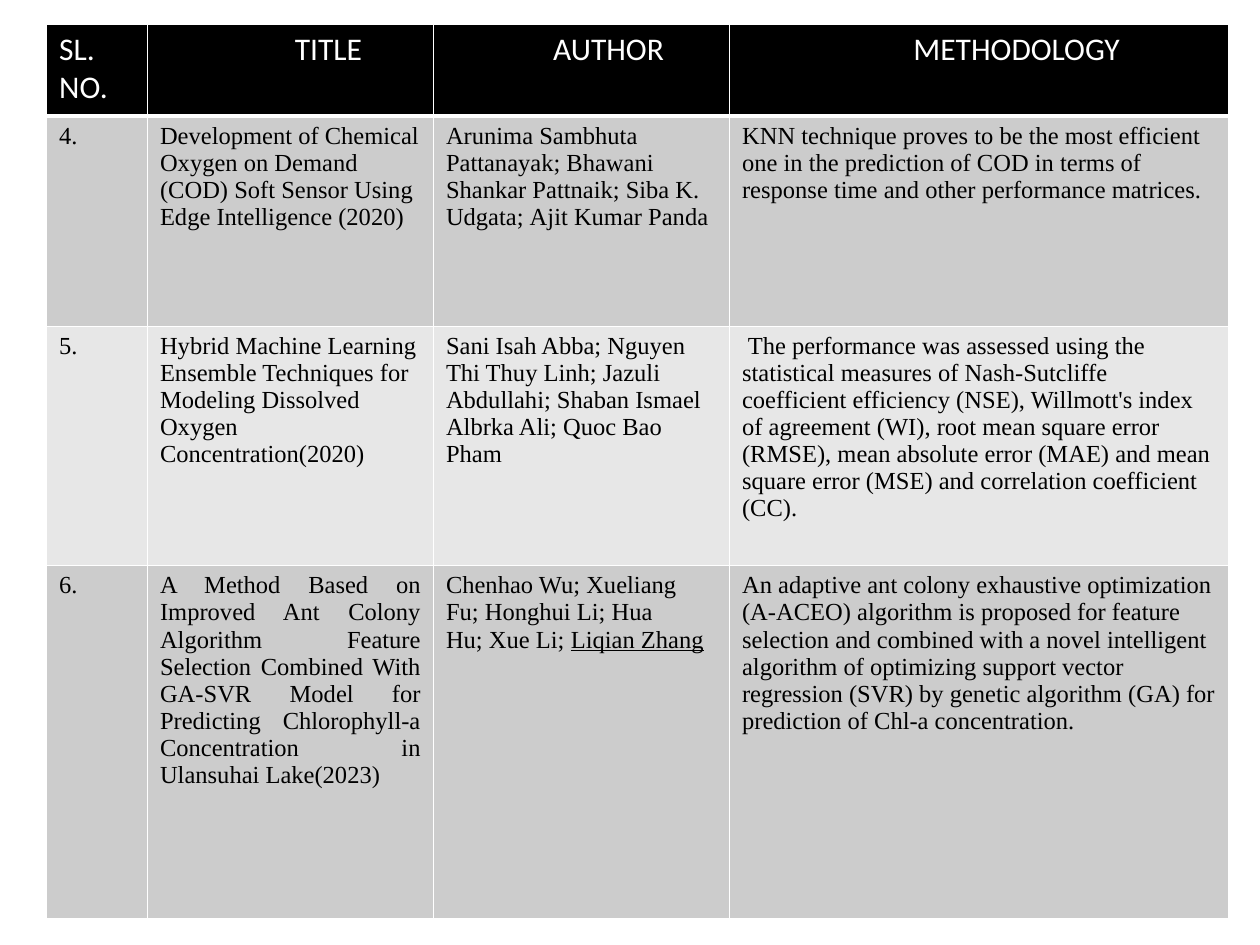
import dataclasses

import pptx
import pptx.dml.color
import pptx.enum.text
import pptx.oxml.ns
import pptx.util
from lxml import etree
from pptx.util import Inches


@dataclasses.dataclass(frozen=True)
class Theme:
    header_fill: str = "000000"
    header_text: str = "FFFFFF"
    body_fills: tuple = ("CCCCCC", "E7E7E7")
    body_text: str = "000000"
    border: str = "FFFFFF"
    header_font: str = "Calibri"
    body_font: str = "Times New Roman"
    header_size: int = 18
    body_size: int = 14
    thin: int = 1
    thick: int = 3


THEME = Theme()
NBSP = chr(160)
COL_WIDTHS = (0.8, 2.27, 2.35, 3.96)
ROW_HEIGHTS = (0.73, 1.67, 1.9, 2.8)
CELL_MARGIN = 0.1
HEADERS = (("SL. NO.", 0), ("TITLE", 1.07), ("AUTHOR", 0.85), ("METHODOLOGY", 1.36))
PAPERS = (
    (
        "4.",
        "Development of Chemical Oxygen on Demand (COD) Soft Sensor Using Edge Intelligence (2020)",
        "Arunima Sambhuta Pattanayak; Bhawani Shankar Pattnaik; Siba K. Udgata; Ajit Kumar Panda",
        "KNN technique proves to be the most efficient one in the prediction of COD in terms of "
        "response time and other performance matrices.",
    ),
    (
        "5.",
        "Hybrid Machine Learning Ensemble Techniques for Modeling Dissolved Oxygen Concentration(2020)",
        "Sani Isah Abba; Nguyen Thi Thuy Linh; Jazuli Abdullahi; Shaban Ismael Albrka Ali; Quoc Bao Pham",
        " The performance was assessed using the statistical measures of Nash-Sutcliffe coefficient "
        "efficiency (NSE), Willmott's index of agreement (WI), root mean square error (RMSE), mean "
        "absolute error (MAE) and mean square error (MSE) and correlation coefficient (CC).",
    ),
    (
        "6.",
        "A Method Based on Improved Ant Colony Algorithm Feature Selection Combined With GA-SVR Model "
        "for Predicting Chlorophyll-a Concentration in Ulansuhai Lake(2023)",
        "Chenhao Wu; Xueliang Fu; Honghui Li; Hua Hu; Xue Li; ",
        "An adaptive ant colony exhaustive optimization (A-ACEO) algorithm is proposed for feature "
        "selection and combined with a novel intelligent algorithm of optimizing support vector "
        "regression (SVR) by genetic algorithm (GA) for prediction of Chl-a concentration.",
    ),
)
UNDERLINED_AUTHOR = "Liqian Zhang"


def rgb(value):
    return pptx.dml.color.RGBColor.from_string(value)


def set_borders(cell, bottom):
    qn = pptx.oxml.ns.qn
    tc_pr = cell._tc.get_or_add_tcPr()
    widths = {"lnL": THEME.thin, "lnR": THEME.thin, "lnT": THEME.thin, "lnB": bottom}
    for edge, width in widths.items():
        ln = etree.SubElement(tc_pr, qn(f"a:{edge}"), w=str(pptx.util.Pt(width)))
        fill = etree.SubElement(ln, qn("a:solidFill"))
        etree.SubElement(fill, qn("a:srgbClr"), val=THEME.border)


def fill_cell(cell, text, fill, color, font, size, bottom=THEME.thin):
    set_borders(cell, bottom)
    cell.fill.solid()
    cell.fill.fore_color.rgb = rgb(fill)
    p = cell.text_frame.paragraphs[0]
    p.add_run().text = text
    p.font.name = font
    p.font.size = pptx.util.Pt(size)
    p.font.color.rgb = rgb(color)
    for r in p.runs:
        r.font.name = font
        r.font.size = p.font.size
        r.font.color.rgb = rgb(color)
    return p


def add_header(table):
    for col, (text, indent) in enumerate(HEADERS):
        cell = table.cell(0, col)
        fill_cell(cell, text, THEME.header_fill, THEME.header_text,
                  THEME.header_font, THEME.header_size, THEME.thick)
        cell.margin_left = Inches(CELL_MARGIN + indent)


def add_papers(table):
    for row, paper in enumerate(PAPERS, start=1):
        fill = THEME.body_fills[(row - 1) % 2]
        for col, text in enumerate(paper):
            fill_cell(table.cell(row, col), text.replace("; ", ";" + NBSP), fill,
                      THEME.body_text, THEME.body_font, THEME.body_size)

    last = len(PAPERS)
    title = table.cell(last, 1).text_frame.paragraphs[0]
    title.alignment = pptx.enum.text.PP_ALIGN.JUSTIFY
    r = table.cell(last, 2).text_frame.paragraphs[0].add_run()
    r.text = UNDERLINED_AUTHOR
    r.font.name = THEME.body_font
    r.font.size = pptx.util.Pt(THEME.body_size)
    r.font.color.rgb = rgb(THEME.body_text)
    r.font.underline = True


def add_literature_table(s, left, top, width, height):
    frame = s.shapes.add_table(len(ROW_HEIGHTS), len(COL_WIDTHS), left, top, width, height)
    table = frame.table
    for column, size in zip(table.columns, COL_WIDTHS):
        column.width = Inches(size)
    for row, size in zip(table.rows, ROW_HEIGHTS):
        row.height = Inches(size)
    add_header(table)
    add_papers(table)


def main():
    prs = pptx.Presentation()
    prs.slide_width, prs.slide_height = Inches(10), Inches(7.5)
    s = prs.slides.add_slide(prs.slide_layouts[6])
    add_literature_table(s, Inches(0.37), Inches(0.19),
                         Inches(sum(COL_WIDTHS)), Inches(sum(ROW_HEIGHTS)))
    prs.save("out.pptx")


if __name__ == "__main__":
    main()
